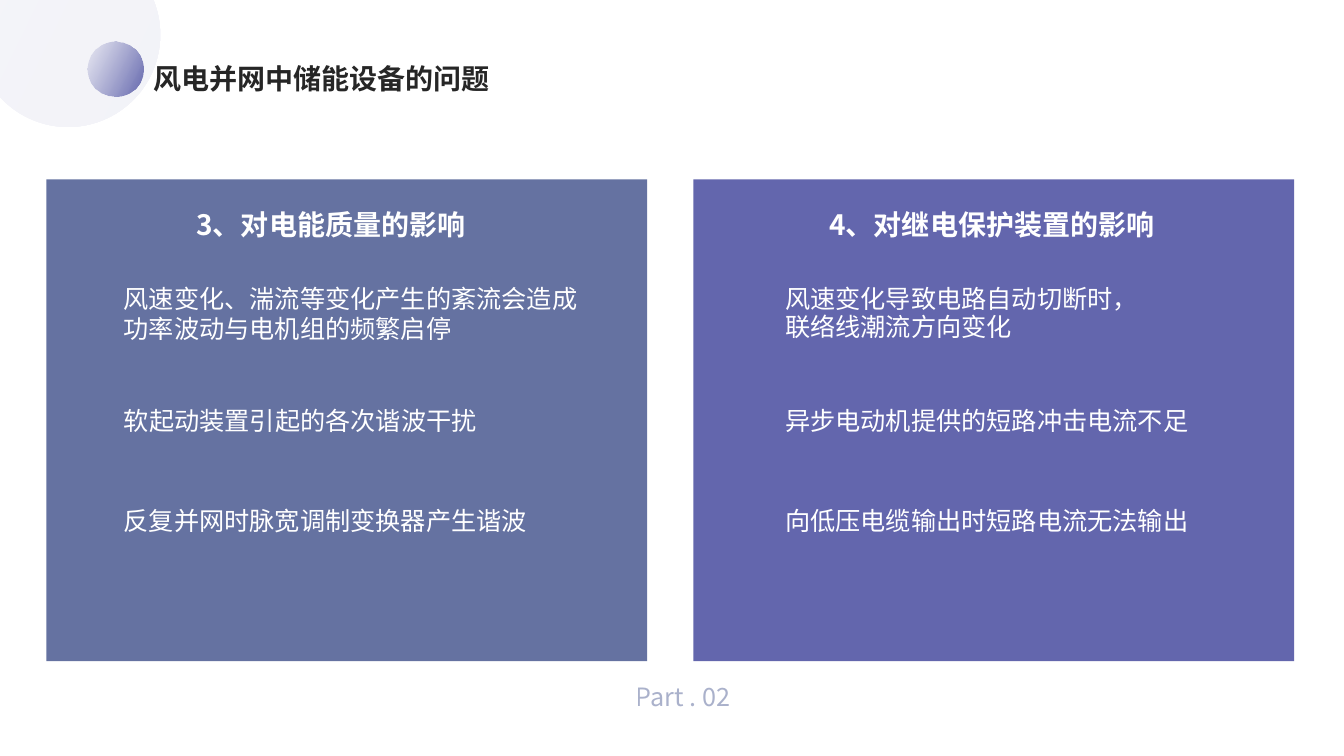
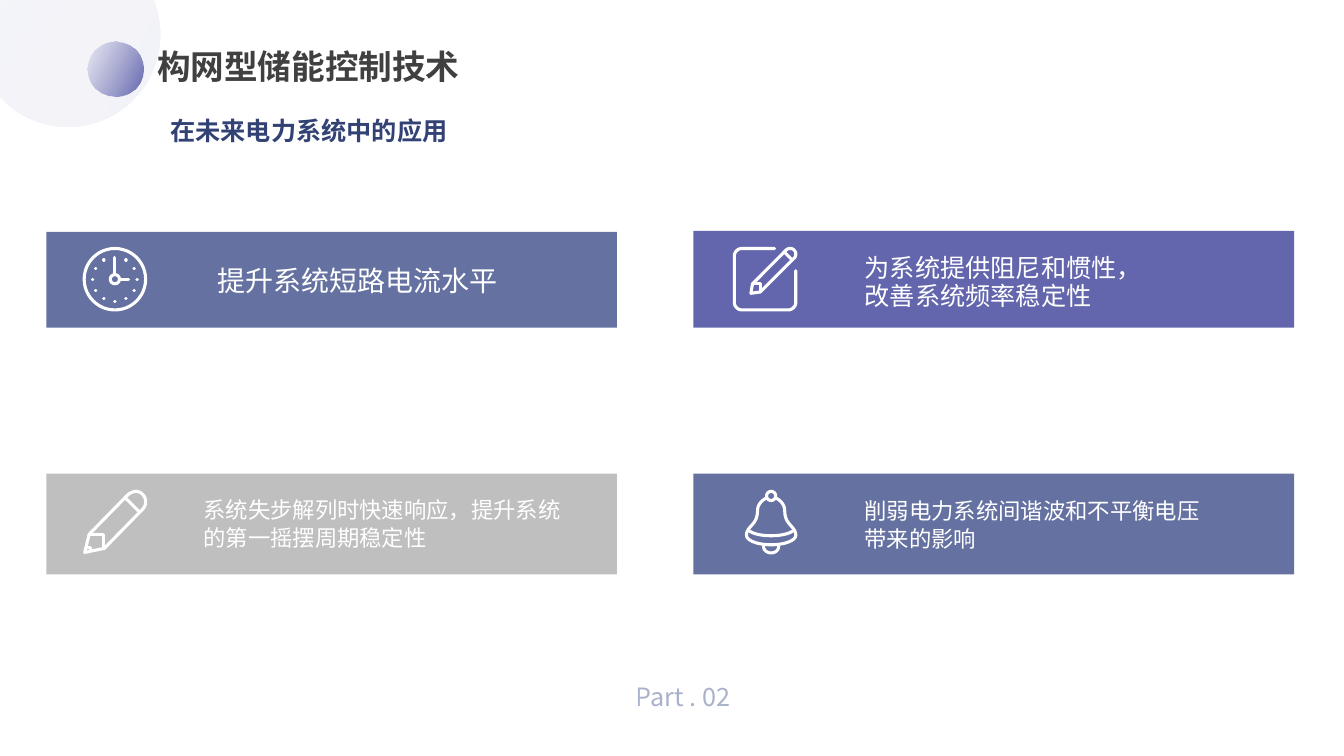
import math

import pptx
import pptx.util
import pptx.dml.color
import pptx.enum.shapes
import pptx.enum.text
import pptx.oxml
import pptx.oxml.ns

Pt = pptx.util.Pt
qn = pptx.oxml.ns.qn
SHAPE = pptx.enum.shapes.MSO_SHAPE
ALIGN = pptx.enum.text.PP_ALIGN
ANCHOR = pptx.enum.text.MSO_ANCHOR

FONT = "Noto Sans CJK SC"
COLORS = {
    "white": "FFFFFF", "ink": "262626", "dark": "404040", "navy": "324274",
    "slate": "6572A1", "violet": "6366AD", "lilac": "7578B7", "gray": "BFBFBF",
}

# Text styles: font values, colour, paragraph values
JUSTIFY = {"alignment": ALIGN.JUSTIFY}
TIGHT = {"line_spacing": Pt(20)}
STYLES = {
    "title": ({"size": Pt(20), "bold": True}, "ink", JUSTIFY),
    "big title": ({"size": Pt(24), "bold": True}, "dark", JUSTIFY),
    "subtitle": ({"size": Pt(18), "bold": True}, "navy", {}),
    "footer": ({"size": Pt(18)}, "slate", JUSTIFY),
    "heading": ({"size": Pt(20), "bold": True}, "white", JUSTIFY),
    "body": ({"size": Pt(18)}, "white", {}),
    "tight 20": ({"size": Pt(20)}, "white", TIGHT),
    "tight 18": ({"size": Pt(18)}, "white", TIGHT),
    "tight 16": ({"size": Pt(16)}, "white", TIGHT),
}

# Shared decoration: left, top, diameter, opacity of the two gradient ends
CIRCLES = [(-17.28, -41.04, 131.76, (8, 8)), (62.64, 29.52, 39.6, (8, 100))]
FOOTER = ("footer", (447.12, 478.8, 106.56, 36.72), "Part . 02")
LEFT, RIGHT = 33.12, 495.36

# Content: panels are (colour, box), texts are (style, box, text)
PROBLEMS = {
    "panels": [
        ("slate", (LEFT, 128.16, 429.12, 344.16)),
        ("violet", (RIGHT, 128.16, 429.12, 344.16)),
    ],
    "texts": [
        ("title", (102.24, 40.32, 355.68, 31.68), "风电并网中储能设备的问题"),
        ("heading", (133.2, 144.72, 228.96, 31.68), "3、对电能质量的影响"),
        ("body", (81.36, 198.72, 354.96, 51.12),
         "风速变化、湍流等变化产生的紊流会造成功率波动与电机组的频繁启停"),
        ("body", (81.36, 285.84, 334.8, 28.8), "软起动装置引起的各次谐波干扰"),
        ("body", (81.36, 357.12, 316.8, 28.8), "反复并网时脉宽调制变换器产生谐波"),
        ("heading", (585.36, 144.72, 249.12, 31.68), "4、对继电保护装置的影响"),
        ("tight 18", (553.68, 200.16, 275.04, 47.52),
         "风速变化导致电路自动切断时，联络线潮流方向变化"),
        ("body", (553.68, 285.84, 316.8, 28.8), "异步电动机提供的短路冲击电流不足"),
        ("body", (553.68, 357.12, 346.32, 28.8), "向低压电缆输出时短路电流无法输出"),
    ],
    "icons": [],
}
APPLICATIONS = {
    "panels": [
        ("slate", (LEFT, 165.6, 407.52, 68.4)),
        ("violet", (RIGHT, 164.88, 429.12, 69.12)),
        ("gray", (LEFT, 338.4, 407.52, 72)),
        ("slate", (RIGHT, 338.4, 429.12, 72)),
    ],
    "texts": [
        ("big title", (105.12, 29.52, 238.32, 36), "构网型储能控制技术"),
        ("subtitle", (114.48, 78.48, 222.48, 28.8), "在未来电力系统中的应用"),
        ("tight 20", (148.32, 188.64, 275.04, 27.36), "提升系统短路电流水平"),
        ("tight 18", (610.56, 178.56, 198, 47.52),
         "为系统提供阻尼和惯性，改善系统频率稳定性"),
        ("tight 16", (138.24, 349.92, 275.04, 47.52),
         "系统失步解列时快速响应，提升系统的第一摇摆周期稳定性"),
        ("tight 16", (610.56, 350.64, 269.28, 47.52),
         "削弱电力系统间谐波和不平衡电压带来的影响"),
    ],
    "icons": [("clock", 59.04, 176.4), ("edit", 523.44, 176.4),
              ("pencil", 59.04, 349.92), ("bell", 532.08, 349.92)],
}


def circle(cx, cy, radius, steps=48):
    angles = [2 * math.pi * i / steps for i in range(steps + 1)]
    return [(cx + radius * math.cos(a), cy + radius * math.sin(a)) for a in angles]


def clock_dots():
    """Hour marks, all but twelve o'clock."""
    dots = []
    for hour in range(1, 12):
        a = math.radians(30 * hour)
        x, y = 32 + 22 * math.sin(a), 32 - 22 * math.cos(a)
        dots.append([(x - 0.2, y), (x + 0.2, y)])
    return dots


# Icon strokes on a 64-unit grid: pairs are corners, sixes are Bezier curves
UNIT = 0.72
STROKE = 2.2
ICONS = {
    "clock": [circle(32, 32, 30.5), circle(32, 32, 4.5),
              [(32, 10.5), (32, 27.5)], [(36.5, 32), (45.5, 32)]] + clock_dots(),
    "edit": [
        [(41.5, 1.5), (9, 1.5), (5, 1.5, 1.5, 5, 1.5, 9), (1.5, 55),
         (1.5, 59, 5, 62.5, 9, 62.5), (55, 62.5),
         (59, 62.5, 62.5, 59, 62.5, 55), (62.5, 23.5)],
        [(18, 46), (19.5, 36.7), (53, 3), (54, 2, 55.5, 1.5, 57, 1.5),
         (60, 1.5, 62.5, 4, 62.5, 7), (62.5, 9, 62, 10, 61, 11),
         (27.3, 44.7), (18, 46)],
        [(20.5, 36.5), (27.5, 36.5), (27.5, 43.5)],
        [(51, 5), (59, 13)],
    ],
    "pencil": [
        [(2, 62), (6.5, 44), (44.7, 5), (47, 3, 50, 1.5, 53, 1.5),
         (58, 1.5, 62.5, 6, 62.5, 12), (62.5, 15, 61, 17.5, 59.7, 19),
         (21.5, 58), (2, 62)],
        [(6.5, 44.5), (20.5, 44.5), (20.5, 58)],
        [(42, 7.5), (56.5, 22)],
        [(4, 57.5), (7.5, 57.5), (7.5, 60.5)],
    ],
    "bell": [
        circle(26, 6, 4.5),
        [(20.5, 8.5), (16, 11, 12.5, 15, 12.5, 21), (12.5, 35, 1.5, 36, 1.5, 45),
         (1.5, 50, 12, 54.5, 26, 54.5), (40, 54.5, 50.5, 50, 50.5, 45),
         (50.5, 36, 39.5, 35, 39.5, 21), (39.5, 15, 36, 11, 31.5, 8.5)],
        [(4, 40.5), (8, 43.5, 16, 45.5, 26, 45.5), (36, 45.5, 44, 43.5, 48, 40.5)],
        [(18.5, 56), (18.5, 60, 22, 62.5, 26, 62.5), (30, 62.5, 33.5, 60, 33.5, 56)],
    ],
}


def rgb(name):
    return pptx.dml.color.RGBColor.from_string(COLORS[name])


def set_alpha(sp, percents):
    for clr, percent in zip(sp.element.iter(qn("a:srgbClr")), percents):
        alpha = pptx.oxml.parse_xml(
            '<a:alpha xmlns:a="http://schemas.openxmlformats.org/drawingml/2006/main"'
            f' val="{percent * 1000}"/>')
        clr.append(alpha)


def add_plain(s, kind, box):
    sp = s.shapes.add_shape(kind, *map(Pt, box))
    sp.shadow.inherit = False
    sp.line.fill.background()
    return sp


def add_panel(s, color, box):
    sp = add_plain(s, SHAPE.RECTANGLE, box)
    sp.fill.solid()
    sp.fill.fore_color.rgb = rgb(color)


def add_circle(s, left, top, size, alphas):
    sp = add_plain(s, SHAPE.OVAL, (left, top, size, size))
    sp.fill.gradient()
    sp.fill.gradient_angle = 334
    for stop, color, position in zip(sp.fill.gradient_stops, ("lilac", "violet"), (0, 1)):
        stop.color.rgb = rgb(color)
        stop.position = position
    set_alpha(sp, alphas)


def add_text(s, style, box, text):
    font, color, para = STYLES[style]
    sp = s.shapes.add_textbox(*map(Pt, box))
    tf = sp.text_frame
    tf.word_wrap = True
    p = tf.paragraphs[0]
    r = p.add_run()
    r.text = text
    for target, values in ((p, para), (r.font, {"name": FONT, **font})):
        for key, value in values.items():
            setattr(target, key, value)
    r.font.color.rgb = rgb(color)
    latin = next(sp.element.iter(qn("a:latin")))
    ea = pptx.oxml.parse_xml(
        '<a:ea xmlns:a="http://schemas.openxmlformats.org/drawingml/2006/main"'
        f' typeface="{FONT}"/>')
    latin.addnext(ea)
    return sp


def flatten(stroke, steps=10):
    """Turn the curves of a stroke into short straight pieces."""
    points = []
    for step in stroke:
        if len(step) == 2:
            points.append(step)
            continue
        ends = [points[-1], step[:2], step[2:4], step[4:]]
        for i in range(1, steps + 1):
            t = i / steps
            weights = [math.comb(3, k) * t ** k * (1 - t) ** (3 - k) for k in range(4)]
            points.append(tuple(sum(w * e[axis] for w, e in zip(weights, ends))
                                for axis in (0, 1)))
    return points


def add_icon(s, name, left, top):
    builder = None
    for stroke in ICONS[name]:
        points = [(Pt(left + x * UNIT), Pt(top + y * UNIT)) for x, y in flatten(stroke)]
        if builder is None:
            builder = s.shapes.build_freeform(*points[0], scale=1.0)
        else:
            builder.move_to(*points[0])
        builder.add_line_segments(points[1:], close=points[0] == points[-1])
    sp = builder.convert_to_shape()
    sp.shadow.inherit = False
    sp.fill.background()
    sp.line.color.rgb = rgb("white")
    sp.line.width = Pt(STROKE)
    sp.element.spPr.find(qn("a:ln")).set("cap", "rnd")


def add_slide(prs, content):
    s = prs.slides.add_slide(prs.slide_layouts[6])
    for circle_values in CIRCLES:
        add_circle(s, *circle_values)
    footer = add_text(s, *FOOTER)
    footer.text_frame.vertical_anchor = ANCHOR.MIDDLE
    set_alpha(footer, [54])
    for add, key in ((add_panel, "panels"), (add_icon, "icons"), (add_text, "texts")):
        for item in content[key]:
            add(s, *item)


def main():
    prs = pptx.Presentation()
    prs.slide_width, prs.slide_height = Pt(960), Pt(540)
    for content in (PROBLEMS, APPLICATIONS):
        add_slide(prs, content)
    prs.save("out.pptx")


if __name__ == "__main__":
    main()
